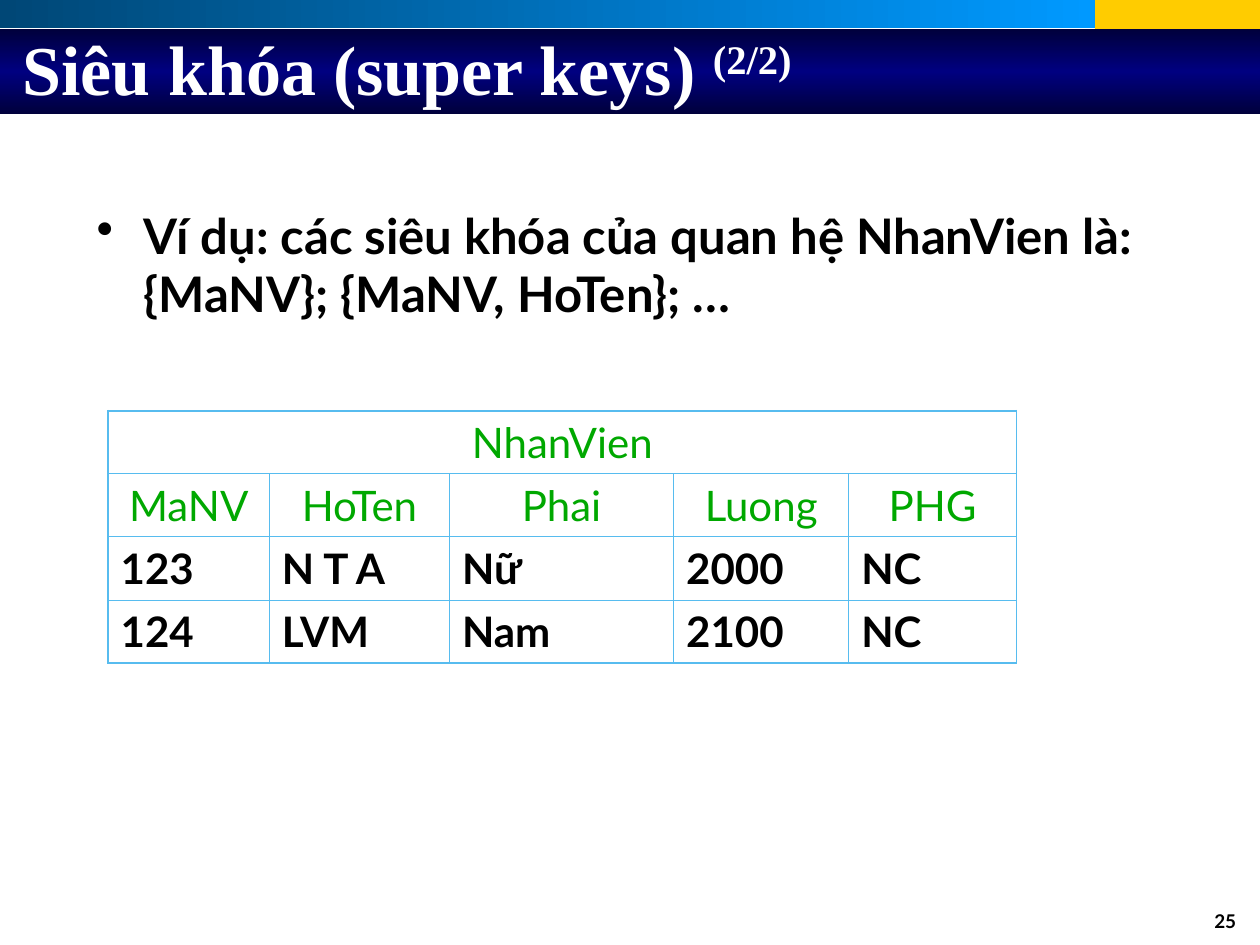
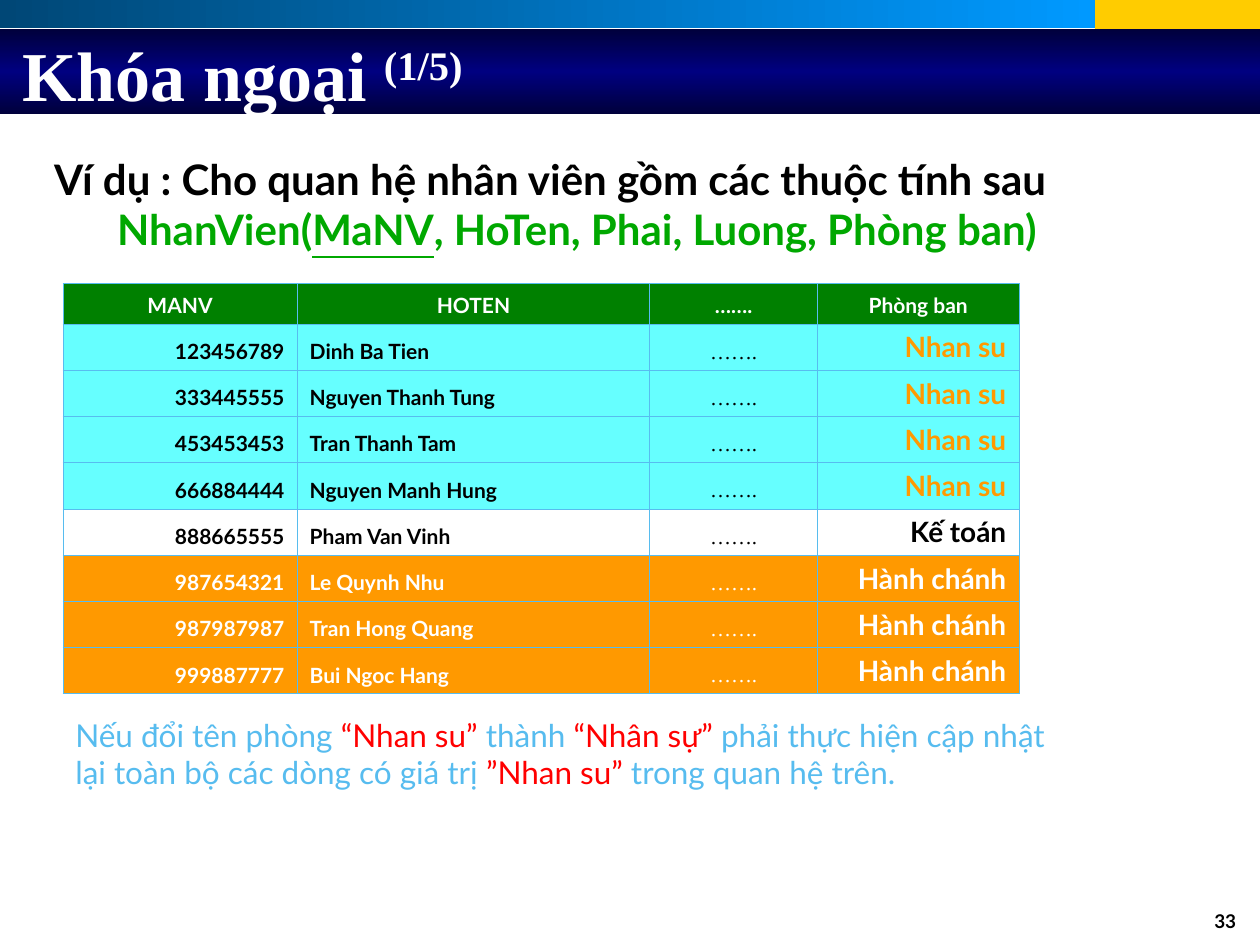
from dataclasses import dataclass

from lxml.etree import SubElement
from pptx import Presentation
from pptx.dml.color import RGBColor
from pptx.enum.shapes import MSO_SHAPE
from pptx.enum.text import MSO_ANCHOR as Anchor, MSO_AUTO_SIZE as AutoSize, PP_ALIGN as Align
from pptx.oxml.ns import qn
from pptx.util import Cm, Pt

BLACK = RGBColor(0x00, 0x00, 0x00)
WHITE = RGBColor(0xFF, 0xFF, 0xFF)
YELLOW = RGBColor(0xFF, 0xCC, 0x00)
DEEP_BLUE = RGBColor(0x00, 0x47, 0x76)
BRIGHT_BLUE = RGBColor(0x00, 0x99, 0xFF)
MIDNIGHT = RGBColor(0x00, 0x00, 0x3B)
NAVY = RGBColor(0x00, 0x00, 0x80)
SKY = RGBColor(0x57, 0xBC, 0xEF)
LEAF = RGBColor(0x00, 0xA8, 0x00)
GREEN = RGBColor(0x00, 0x80, 0x00)
CYAN = RGBColor(0x66, 0xFF, 0xFF)
ORANGE = RGBColor(0xFF, 0x99, 0x00)
RED = RGBColor(0xFF, 0x00, 0x00)

SANS = "Lato"
SERIF = "Times New Roman"


@dataclass
class Span:
    text: str
    size: float
    color: RGBColor = BLACK
    bold: bool = True
    font: str = SANS
    underline: bool = False
    raised: bool = False


@dataclass
class Cell:
    span: Span
    align: Align = Align.LEFT
    fill: RGBColor = None


class LectureDeck:
    def __init__(self):
        self.deck = Presentation()
        self.deck.slide_width = Cm(25.4)
        self.deck.slide_height = Cm(19.05)
        self.layout = self.deck.slide_layouts.get_by_name("Title Only")
        self.page = None

    def add_page(self, number):
        self.page = self.deck.slides.add_slide(self.layout)
        if len(self.deck.slides) == 1:
            self.add_bands()
        para = self.add_box(19.25, 18.21, 5.92, 0.81).paragraphs[0]
        para.alignment = Align.RIGHT
        self.add_spans(para, [Span(str(number), 10.8)])

    def add_bands(self):
        bands = [
            ((22.07, 0, 3.33, 0.71), [YELLOW], 0),
            ((0, 0, 22.07, 0.56), [DEEP_BLUE, BRIGHT_BLUE], 0),
            ((0, 0.58, 25.4, 1.73), [MIDNIGHT, NAVY, MIDNIGHT], 90),
        ]
        for depth, (place, colors, angle) in enumerate(bands, start=2):
            band = self.add_band(place, colors, angle)
            self.layout.shapes._spTree.insert(depth, band._element)

    def add_band(self, place, colors, angle):
        band = self.page.shapes.add_shape(MSO_SHAPE.RECTANGLE, *map(Cm, place))
        band.shadow.inherit = False
        band.line.fill.background()
        if len(colors) == 1:
            band.fill.solid()
            band.fill.fore_color.rgb = colors[0]
            return band
        band.fill.gradient()
        band.fill.gradient_angle = angle
        stops = band._element.spPr.find(qn("a:gradFill")).find(qn("a:gsLst"))
        for stop in list(stops):
            stops.remove(stop)
        for index, color in enumerate(colors):
            position = 100000 * index // (len(colors) - 1)
            stop = SubElement(stops, qn("a:gs"), pos=str(position))
            SubElement(stop, qn("a:srgbClr"), val=str(color))
        return band

    def add_title(self, text, part, top, width, height):
        title = self.page.shapes.title
        title.left, title.top, title.width, title.height = map(Cm, (0.2, top, width, height))
        frame = title.text_frame
        frame.auto_size = AutoSize.NONE
        frame.vertical_anchor = Anchor.MIDDLE
        para = frame.paragraphs[0]
        para.alignment = Align.LEFT
        self.add_spans(para, [
            Span(text + " ", 40, WHITE, font=SERIF),
            Span(part, 40, WHITE, font=SERIF, raised=True),
        ])

    def add_box(self, left, top, width, height):
        frame = self.page.shapes.add_textbox(*map(Cm, (left, top, width, height))).text_frame
        frame.word_wrap = True
        return frame

    def add_spans(self, para, spans):
        for span in spans:
            run = para.add_run()
            run.text = span.text
            run.font.name = span.font
            run.font.size = Pt(span.size)
            run.font.bold = span.bold
            run.font.color.rgb = span.color
            if span.underline:
                run.font.underline = True
            if span.raised:
                run.font._element.set("baseline", "30000")

    def indent(self, para, margin, first=0, bullet=None):
        properties = para._p.get_or_add_pPr()
        properties.set("marL", str(Cm(margin)))
        properties.set("indent", str(Cm(first)))
        if bullet:
            SubElement(properties, qn("a:buChar"), char=bullet)

    def add_table(self, left, top, widths, heights, rows, anchor, outer):
        size = (sum(widths), sum(heights))
        table = self.page.shapes.add_table(
            len(rows), len(widths), *map(Cm, (left, top, *size))).table
        table.first_row = table.horz_banding = False
        for column, width in zip(table.columns, widths):
            column.width = Cm(width)
        for row, height in zip(table.rows, heights):
            row.height = Cm(height)
        last_row, last_column = len(rows) - 1, len(widths) - 1
        for y, row in enumerate(rows):
            for x in range(len(widths)):
                edges = {"L": x == 0, "R": x == last_column, "T": y == 0, "B": y == last_row}
                cell = table.cell(y, x)
                self.add_borders(cell, edges, outer)
                cell.fill.background()
                if x < len(row):
                    self.fill_cell(cell, row[x], anchor)
            if len(row) == 1:
                table.cell(y, 0).merge(table.cell(y, last_column))

    def add_borders(self, cell, edges, outer):
        properties = cell._tc.get_or_add_tcPr()
        for side, is_outer in edges.items():
            width = Pt(outer if is_outer else 0.45)
            line = SubElement(properties, qn(f"a:ln{side}"), w=str(width))
            fill = SubElement(line, qn("a:solidFill"))
            SubElement(fill, qn("a:srgbClr"), val=str(SKY))

    def fill_cell(self, cell, content, anchor):
        cell.vertical_anchor = anchor
        if content.fill is not None:
            cell.fill.solid()
            cell.fill.fore_color.rgb = content.fill
        para = cell.text_frame.paragraphs[0]
        para.alignment = content.align
        self.add_spans(para, [content.span])


def build_super_keys(lecture):
    lecture.add_page(25)
    lecture.add_title("Siêu khóa (super keys)", "(2/2)", 0.2, 19.89, 2.34)

    example = lecture.add_box(1.7, 4.01, 21.59, 11.43).paragraphs[0]
    lecture.indent(example, 0.95, -0.95, "•")
    lecture.add_spans(example, [
        Span("Ví dụ: các siêu khóa của quan hệ NhanVien là: {MaNV}; {MaNV, HoTen}; …", 28)])

    headings = [["NhanVien"], ["MaNV", "HoTen", "Phai", "Luong", "PHG"]]
    employees = [["123", "N T A", "Nữ", "2000", "NC"], ["124", "LVM", "Nam", "2100", "NC"]]
    rows = [[Cell(Span(text, 24, LEAF, bold=False), Align.CENTER) for text in row]
            for row in headings]
    rows += [[Cell(Span(text, 24)) for text in row] for row in employees]
    lecture.add_table(2.18, 8.28, [3.25, 3.63, 4.52, 3.53, 3.38], [1.27] * 4,
                      rows, Anchor.TOP, 1.08)


def build_foreign_key(lecture):
    lecture.add_page(33)
    lecture.add_title("Khóa ngoại", "(1/5)", 0.43, 17.35, 2.11)

    dots = "……."
    departments = [
        ("Nhan su", CYAN, BLACK, ORANGE, [
            ("123456789", "Dinh Ba Tien"),
            ("333445555", "Nguyen Thanh Tung"),
            ("453453453", "Tran Thanh Tam"),
            ("666884444", "Nguyen Manh Hung"),
        ]),
        ("Kế toán", WHITE, BLACK, BLACK, [("888665555", "Pham Van Vinh")]),
        ("Hành chánh", ORANGE, WHITE, WHITE, [
            ("987654321", "Le Quynh Nhu"),
            ("987987987", "Tran Hong Quang"),
            ("999887777", "Bui Ngoc Hang"),
        ]),
    ]
    rows = [[Cell(Span(text, 12, WHITE), Align.CENTER, GREEN)
             for text in ("MANV", "HOTEN", dots, "Phòng ban")]]
    for department, fill, color, accent, employees in departments:
        for code, name in employees:
            rows.append([
                Cell(Span(code, 12, color), Align.RIGHT, fill),
                Cell(Span(name, 12, color), Align.LEFT, fill),
                Cell(Span(dots, 12, color, False, SERIF), Align.CENTER, fill),
                Cell(Span(department, 16, accent), Align.RIGHT, fill),
            ])
    lecture.add_table(1.27, 5.72, [4.72, 7.11, 3.38, 4.06], [0.81] + [0.93] * 8,
                      rows, Anchor.BOTTOM, 0.45)

    relation = lecture.add_box(0.84, 2.97, 23.93, 2.29)
    lecture.add_spans(relation.paragraphs[0], [
        Span("Ví dụ : Cho quan hệ nhân viên gồm các thuộc tính sau", 24)])
    schema = relation.add_paragraph()
    lecture.indent(schema, 1.27)
    lecture.add_spans(schema, [
        Span("NhanVien(", 24, LEAF),
        Span("MaNV", 24, LEAF, underline=True),
        Span(", HoTen, Phai, Luong, Phòng ban)", 24, LEAF),
    ])

    note = [
        ("Nếu đổi tên phòng ", SKY),
        ("“Nhan su”", RED),
        (" thành ", SKY),
        ("“Nhân sự”", RED),
        (" phải thực hiện cập nhật lại toàn bộ các dòng có giá trị ", SKY),
        ("”Nhan su”", RED),
        (" trong quan hệ trên.", SKY),
    ]
    lecture.add_spans(lecture.add_box(1.27, 14.3, 20.75, 1.78).paragraphs[0],
                      [Span(text, 18, color, bold=False) for text, color in note])


def main():
    lecture = LectureDeck()
    build_super_keys(lecture)
    build_foreign_key(lecture)
    lecture.deck.save("out.pptx")


if __name__ == "__main__":
    main()
